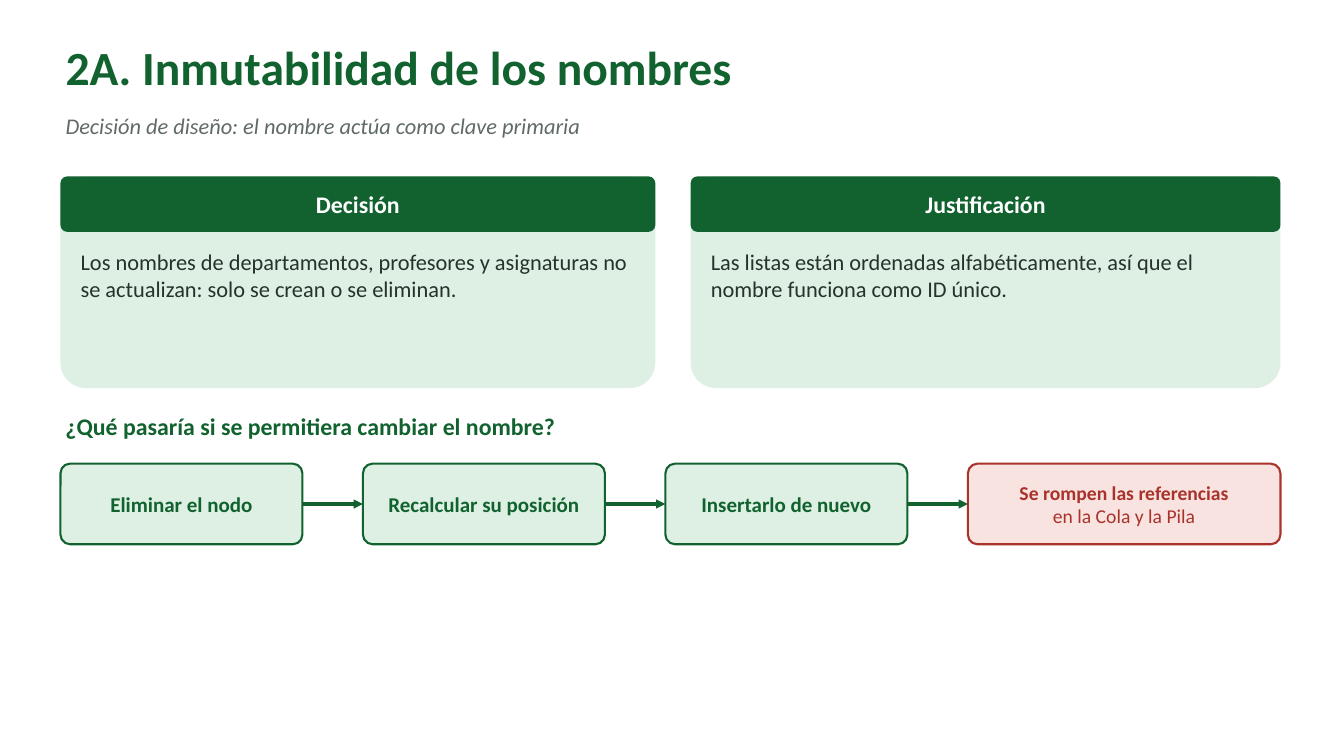
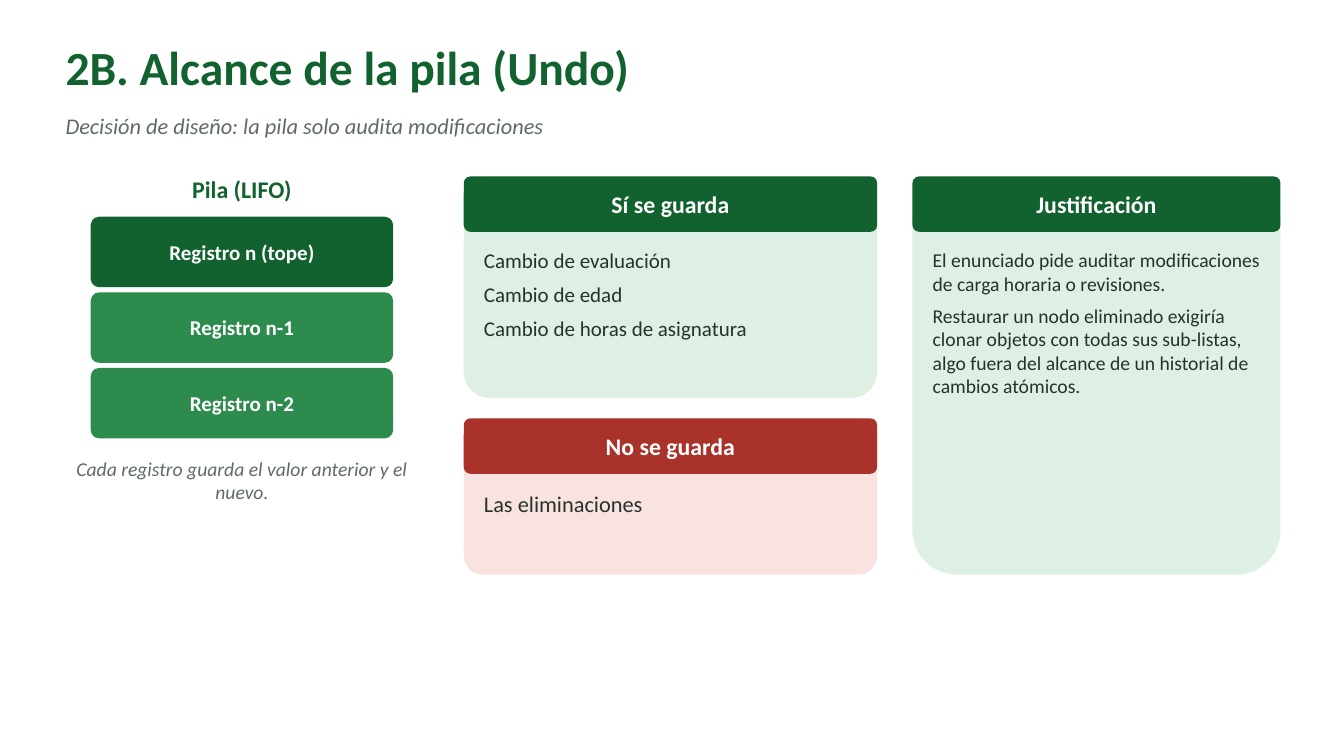
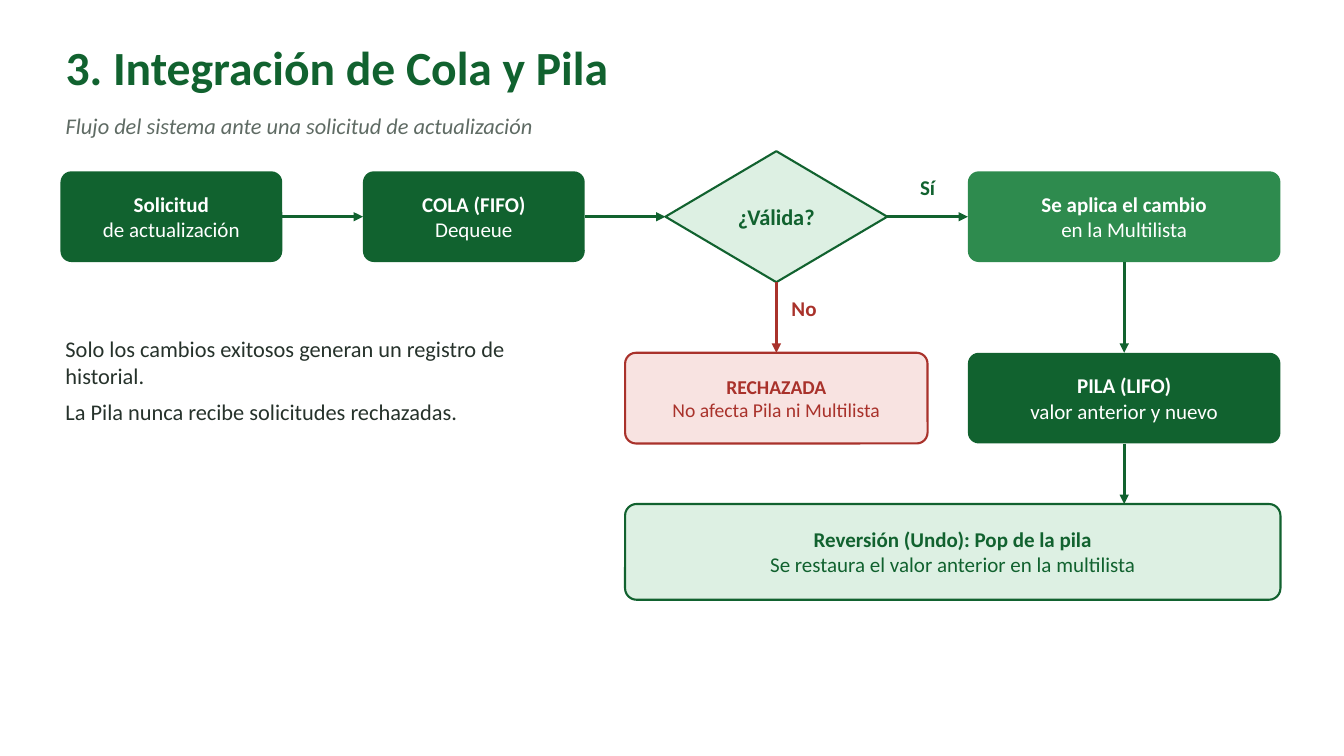
from itertools import pairwise

from lxml import etree
from pptx import Presentation
from pptx.dml.color import RGBColor
from pptx.enum import shapes, text
from pptx.oxml import ns
from pptx.util import Inches, Pt

COLORS = {
    "green": "11622F",
    "mid_green": "2E8B4E",
    "pale_green": "DDF0E3",
    "red": "A9322B",
    "pale_red": "F8E3E1",
    "ink": "26322B",
    "gray": "5F6B64",
    "white": "FFFFFF",
}
# Box style: fill, outline, text
BOX_STYLES = {
    "solid": ("green", None, "white"),
    "medium": ("mid_green", None, "white"),
    "outlined": ("pale_green", "green", "green"),
    "warning": ("pale_red", "red", "red"),
    "alert": ("red", None, "white"),
}
FONT = "Calibri"
LEFT, WIDTH = 0.6, 12.1
COLUMNS = [LEFT + 3 * i for i in range(4)]
TEXT_MARGINS = (0.05, 0.03)
BOX_MARGINS = (0.08, 0.04)
ROUND = shapes.MSO_SHAPE.ROUNDED_RECTANGLE
CENTER, START = text.PP_ALIGN.CENTER, text.PP_ALIGN.LEFT


def rgb(color):
    return RGBColor.from_string(COLORS[color])


def place(shape, left, top, width, height):
    bounds = {"left": left, "top": top, "width": width, "height": height}
    for name, value in bounds.items():
        setattr(shape, name, Inches(value))


def write(frame, lines, size, color, align=START, gap=0, margins=TEXT_MARGINS,
          anchor=text.MSO_ANCHOR.TOP, fit=text.MSO_AUTO_SIZE.NONE,
          bold_first=False, **font_format):
    """Fill a text frame, one paragraph a line; gap is the space between them."""
    across, down = (Inches(margin) for margin in margins)
    frame_format = {
        "word_wrap": True, "auto_size": fit, "vertical_anchor": anchor,
        "margin_left": across, "margin_right": across,
        "margin_top": down, "margin_bottom": down,
    }
    for name, value in frame_format.items():
        setattr(frame, name, value)
    for index, line in enumerate(lines):
        paragraph = frame.paragraphs[0] if index == 0 else frame.add_paragraph()
        paragraph.alignment = align
        paragraph.space_before = Pt(gap if index else 0)
        run = paragraph.add_run()
        run.text = line
        run_format = {"name": FONT, "size": Pt(size), "bold": bold_first and index == 0}
        for name, value in (run_format | font_format).items():
            setattr(run.font, name, value)
        run.font.color.rgb = rgb(color)


def add_text(slide, bounds, lines, size, color, **options):
    shape = slide.shapes.add_textbox(*map(Inches, bounds))
    write(shape.text_frame, lines, size, color,
          fit=text.MSO_AUTO_SIZE.SHAPE_TO_FIT_TEXT, **options)


def add_panel(slide, bounds, fill, outline=None, kind=ROUND):
    shape = slide.shapes.add_shape(kind, *map(Inches, bounds))
    shape.shadow.inherit = False
    if kind == ROUND:
        shape.adjustments[0] = 0.12
    shape.fill.solid()
    shape.fill.fore_color.rgb = rgb(fill)
    if outline:
        shape.line.color.rgb = rgb(outline)
        shape.line.width = Pt(1.5)
    else:
        shape.line.fill.background()
    return shape


def add_box(slide, bounds, lines, style="solid", size=15, kind=ROUND):
    """Add a box with centred text whose first line is bold."""
    fill, outline, color = BOX_STYLES[style]
    shape = add_panel(slide, bounds, fill, outline, kind)
    write(shape.text_frame, lines, size, color, align=CENTER, margins=BOX_MARGINS,
          anchor=text.MSO_ANCHOR.MIDDLE, bold_first=True)
    return shape


def add_card(slide, bounds, heading, lines, size=16, style="solid", fill="pale_green"):
    left, top, width, height = bounds
    add_panel(slide, bounds, fill)
    add_box(slide, (left, top, width, 0.55), [heading], style, 17)
    add_text(slide, (left + 0.15, top + 0.68, width - 0.3, height - 0.8),
             lines, size, "ink", gap=6)


def add_arrow(slide, start, end, sides=(3, 1), color="green"):
    """Join two shapes; with end None, drop 0.6 inches from the start's bottom."""
    x = start.left + start.width // 2
    y = start.top + start.height
    arrow = slide.shapes.add_connector(
        shapes.MSO_CONNECTOR.STRAIGHT, x, y, x, y + Inches(0.6))
    arrow.begin_connect(start, sides[0])
    if end is not None:
        arrow.end_connect(end, sides[1])
    arrow.line.color.rgb = rgb(color)
    arrow.line.width = Pt(2.25)
    etree.SubElement(arrow.line._get_or_add_ln(), ns.qn("a:tailEnd"), type="triangle")
    etree.SubElement(arrow._element.spPr, ns.qn("a:effectLst"))


def prepare_layout(presentation):
    """Place the title and the subtitle line once, for every slide."""
    layout = presentation.slide_layouts[1]
    place(layout.placeholders[0], LEFT, 0.35, WIDTH, 0.8)
    place(layout.placeholders[1], LEFT, 1.08, WIDTH, 0.45)
    return layout


def add_slide(presentation, layout, title, subtitle):
    slide = presentation.slides.add_slide(layout)
    write(slide.shapes.title.text_frame, [title], 34, "green", bold=True)
    frame = slide.placeholders[1].text_frame
    properties = frame.paragraphs[0]._p.get_or_add_pPr()
    properties.set("marL", "0")
    properties.set("indent", "0")
    etree.SubElement(properties, ns.qn("a:buNone"))
    write(frame, [subtitle], 16, "gray", italic=True)
    return slide


def build_names(slide):
    add_card(slide, (LEFT, 1.75, 5.9, 2.1), "Decisión", [
        "Los nombres de departamentos, profesores y asignaturas no se actualizan: "
        "solo se crean o se eliminan."])
    add_card(slide, (6.85, 1.75, 5.85, 2.1), "Justificación", [
        "Las listas están ordenadas alfabéticamente, así que el nombre funciona "
        "como ID único."])
    add_text(slide, (LEFT, 4.05, WIDTH, 0.4),
             ["¿Qué pasaría si se permitiera cambiar el nombre?"], 17, "green", bold=True)
    labels = ["Eliminar el nodo", "Recalcular su posición", "Insertarlo de nuevo"]
    steps = [add_box(slide, (left, 4.6, 2.4, 0.8), [label], "outlined")
             for left, label in zip(COLUMNS, labels)]
    steps.append(add_box(slide, (COLUMNS[3], 4.6, 3.1, 0.8),
                         ["Se rompen las referencias", "en la Cola y la Pila"],
                         "warning", 14))
    for start, end in pairwise(steps):
        add_arrow(slide, start, end)


def build_stack(slide):
    add_text(slide, (LEFT, 1.7, 3.6, 0.4), ["Pila (LIFO)"], 17, "green",
             align=CENTER, bold=True)
    records = ["Registro n (tope)", "Registro n-1", "Registro n-2"]
    for index, record in enumerate(records):
        add_box(slide, (0.9, 2.15 + 0.75 * index, 3, 0.7), [record],
                "medium" if index else "solid")
    add_text(slide, (LEFT, 4.5, 3.6, 0.9),
             ["Cada registro guarda el valor anterior y el nuevo."], 14, "gray",
             align=CENTER, italic=True)
    add_card(slide, (4.6, 1.75, 4.1, 2.2), "Sí se guarda",
             ["Cambio de evaluación", "Cambio de edad", "Cambio de horas de asignatura"],
             15)
    add_card(slide, (4.6, 4.15, 4.1, 1.55), "No se guarda", ["Las eliminaciones"],
             style="alert", fill="pale_red")
    add_card(slide, (9.05, 1.75, 3.65, 3.95), "Justificación", [
        "El enunciado pide auditar modificaciones de carga horaria o revisiones.",
        "Restaurar un nodo eliminado exigiría clonar objetos con todas sus sub-listas, "
        "algo fuera del alcance de un historial de cambios atómicos."], 14)


def build_flow(slide):
    request = add_box(slide, (COLUMNS[0], 1.7, 2.2, 0.9),
                      ["Solicitud", "de actualización"])
    queue = add_box(slide, (COLUMNS[1], 1.7, 2.2, 0.9), ["COLA (FIFO)", "Dequeue"])
    check = add_box(slide, (COLUMNS[2], 1.5, 2.2, 1.3), ["¿Válida?"], "outlined", 16,
                    shapes.MSO_SHAPE.DIAMOND)
    change = add_box(slide, (COLUMNS[3], 1.7, 3.1, 0.9),
                     ["Se aplica el cambio", "en la Multilista"], "medium")
    rejected = add_box(slide, (6.2, 3.5, 3, 0.9),
                       ["RECHAZADA", "No afecta Pila ni Multilista"], "warning", 14)
    stack = add_box(slide, (COLUMNS[3], 3.5, 3.1, 0.9),
                    ["PILA (LIFO)", "valor anterior y nuevo"])
    add_box(slide, (6.2, 5, 6.5, 0.95),
            ["Reversión (Undo): Pop de la pila",
             "Se restaura el valor anterior en la multilista"], "outlined")
    for start, end in pairwise([request, queue, check, change]):
        add_arrow(slide, start, end)
    add_arrow(slide, check, rejected, (2, 0), "red")
    add_arrow(slide, change, stack, (2, 0))
    add_arrow(slide, stack, None, (2, 0))
    add_text(slide, (8.8, 1.7, 0.8, 0.4), ["Sí"], 15, "green", align=CENTER, bold=True)
    add_text(slide, (7.8, 2.9, 0.8, 0.4), ["No"], 15, "red", bold=True)
    add_text(slide, (LEFT, 3.3, 5.2, 2.6), [
        "Solo los cambios exitosos generan un registro de historial.",
        "La Pila nunca recibe solicitudes rechazadas."], 16, "ink", gap=6)


def main():
    presentation = Presentation()
    presentation.slide_width = Inches(13.33)
    presentation.slide_height = Inches(7.5)
    layout = prepare_layout(presentation)
    contents = [
        ("2A. Inmutabilidad de los nombres",
         "Decisión de diseño: el nombre actúa como clave primaria", build_names),
        ("2B. Alcance de la pila (Undo)",
         "Decisión de diseño: la pila solo audita modificaciones", build_stack),
        ("3. Integración de Cola y Pila",
         "Flujo del sistema ante una solicitud de actualización", build_flow),
    ]
    for title, subtitle, build in contents:
        build(add_slide(presentation, layout, title, subtitle))
    presentation.save("out.pptx")


if __name__ == "__main__":
    main()
